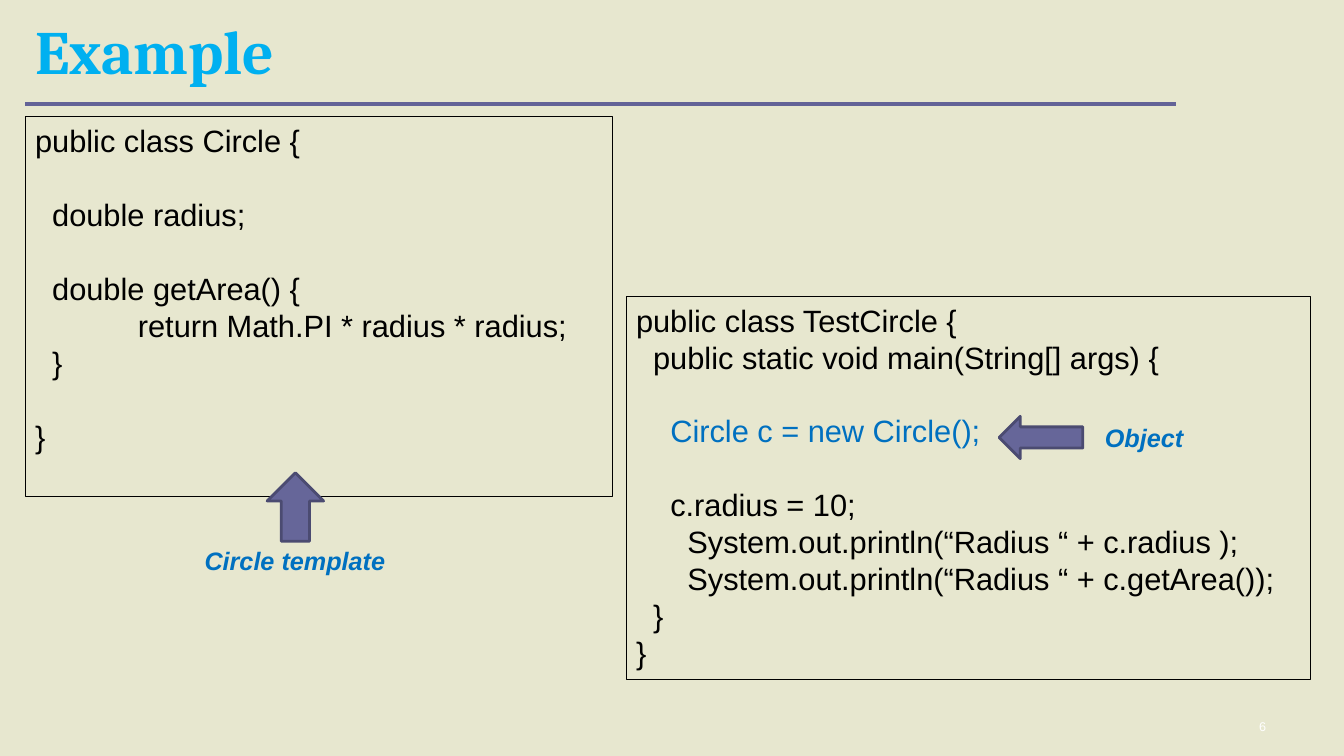
from pptx import Presentation
from pptx.dml.color import RGBColor
from pptx.enum import shapes, text
from pptx.util import Inches, Pt

INK, BLUE, SKY = "000000", "0070C0", "00B0F0"
SIZE, LEAD = 22, 26.4   # code size and line height, points
STEP = 0.17             # one indent level, inches

# Code lines: indent level, blank lines above, colour, words
CIRCLE = [
    (0, 0, INK, "public class Circle {"),
    (1, 1, INK, "double radius;"),
    (1, 1, INK, "double getArea() {"),
    (6, 0, INK, "return Math.PI * radius * radius;"),
    (1, 0, INK, "}"),
    (0, 1, INK, "}"),
]
TEST = [
    (0, 0, INK, "public class TestCircle {"),
    (1, 0, INK, "public static void main(String[] args) {"),
    (2, 1, BLUE, "Circle c = new Circle();"),
    (2, 1, INK, "c.radius = 10;"),
    (3, 0, INK, "System.out.println(“Radius “ + c.radius );"),
    (3, 0, INK, "System.out.println(“Radius “ + c.getArea());"),
    (1, 0, INK, "}"),
    (0, 0, INK, "}"),
]
# Places: left, top, width, height in inches
PANELS = [((0.25, 1.16, 5.83, 3.77), CIRCLE), ((6.21, 2.94, 6.79, 3.8), TEST)]
ARROWS = [
    (shapes.MSO_SHAPE.UP_ARROW, (2.65, 4.69, 0.56, 0.68)),
    (shapes.MSO_SHAPE.LEFT_ARROW, (9.91, 4.13, 0.83, 0.42)),
]
LABELS = [("Circle template", (1.93, 5.36, 2.01, 0.4)),
          ("Object", (10.86, 4.14, 0.99, 0.4))]


def rgb(code):
    return RGBColor.from_string(code)


def box(place):
    return [Inches(n) for n in place]


def style(para, size, color, face="Arial", bold=False, slant=False):
    for run in para.runs:
        font = run.font
        font.name, font.size, font.bold, font.italic = face, Pt(size), bold, slant
        font.color.rgb = rgb(color)


def panel(slide, place, lines):
    """Draw an outlined box holding indented code."""
    rect = slide.shapes.add_shape(shapes.MSO_SHAPE.RECTANGLE, *box(place))
    rect.shadow.inherit = False
    rect.fill.background()
    rect.line.color.rgb = rgb(INK)
    rect.line.width = Pt(0.75)
    frame = rect.text_frame
    frame.word_wrap = True
    frame.vertical_anchor = text.MSO_ANCHOR.TOP
    for i, (level, gap, color, words) in enumerate(lines):
        para = frame.add_paragraph() if i else frame.paragraphs[0]
        para.text = words
        para.alignment = text.PP_ALIGN.LEFT
        para.line_spacing = Pt(LEAD)
        para.space_before = Pt(gap * LEAD)
        para._p.get_or_add_pPr().set("marL", str(Inches(level * STEP)))
        style(para, SIZE, color)


def arrow(slide, kind, place):
    shape = slide.shapes.add_shape(kind, *box(place))
    shape.shadow.inherit = False
    shape.fill.solid()
    shape.fill.fore_color.rgb = rgb("666699")
    shape.line.color.rgb = rgb("4B4B71")
    shape.line.width = Pt(2)


def label(slide, words, place, size=18, color=BLUE, strong=True):
    frame = slide.shapes.add_textbox(*box(place)).text_frame
    frame.word_wrap = False
    frame.text = words
    style(frame.paragraphs[0], size, color, bold=strong, slant=strong)


def heading(slide):
    title = slide.shapes.title
    title.left, title.top, title.width, title.height = box((0.25, 0.24, 8.5, 0.67))
    frame = title.text_frame
    frame.text = "Example"
    frame.auto_size = text.MSO_AUTO_SIZE.NONE
    frame.vertical_anchor = text.MSO_ANCHOR.BOTTOM
    para = frame.paragraphs[0]
    para.alignment = text.PP_ALIGN.LEFT
    para.line_spacing = 0.8
    style(para, 44, SKY, "Cambria", bold=True)
    rule = slide.shapes.add_connector(
        shapes.MSO_CONNECTOR.STRAIGHT, *box((0.25, 1.03, 11.66, 1.03)))
    rule.line.color.rgb = rgb("636397")
    rule.line.width = Pt(2.5)
    rule._element.spPr.get_or_add_effectLst() if hasattr(
        rule._element.spPr, "get_or_add_effectLst") else None


def main():
    deck = Presentation()
    deck.slide_width, deck.slide_height = Inches(13.33), Inches(7.5)
    slide = deck.slides.add_slide(deck.slide_layouts[5])
    slide.background.fill.solid()
    slide.background.fill.fore_color.rgb = rgb("E7E7CF")
    for place, lines in PANELS:
        panel(slide, place, lines)
    heading(slide)
    for kind, place in ARROWS:
        arrow(slide, kind, place)
    for words, place in LABELS:
        label(slide, words, place)
    label(slide, "6", (12.39, 7.08, 0.28, 0.26), 9, "FFFFFF", False)
    deck.save("out.pptx")


if __name__ == "__main__":
    main()
